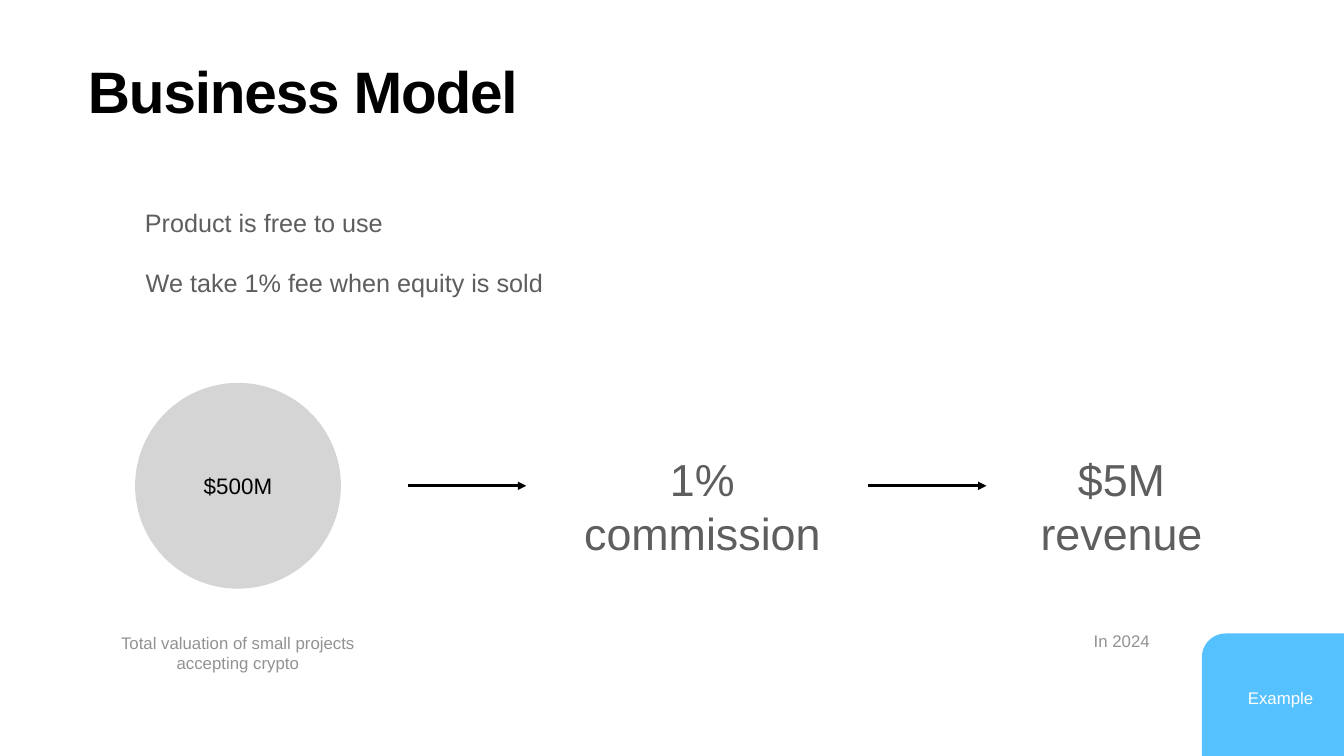
from dataclasses import dataclass

from pptx import Presentation
from pptx import util as u
from pptx.dml.color import RGBColor
from pptx.enum import shapes, text
from pptx.oxml import parse_xml
from pptx.oxml.ns import nsdecls, qn


@dataclass(frozen=True)
class Theme:
    font: str = "Arial"
    black: str = "000000"
    white: str = "FFFFFF"
    body: str = "5E5E5E"
    muted: str = "929292"
    circle: str = "D5D5D5"
    accent: str = "56C1FF"
    title_size: float = 83.5
    figure_size: float = 64
    body_size: float = 36
    value_size: float = 32
    caption_size: float = 24
    inset: float = 4
    arrow_width: float = 4


THEME = Theme()


@dataclass(frozen=True)
class Label:
    words: str
    left: float
    top: float
    width: float
    height: float
    size: float
    color: str
    wrap: bool = True


@dataclass(frozen=True)
class Arrow:
    left: float
    top: float
    length: float = 169.2


STATEMENTS = [
    Label("Product is free to use", 201, 293, 352, 50,
          THEME.body_size, THEME.body, wrap=False),
    Label("We take 1% fee when equity is sold", 201, 378, 582, 50,
          THEME.body_size, THEME.body, wrap=False),
]
FIGURES = [
    Label("1% commission", 813.6, 642, 379.4, 161, THEME.figure_size, THEME.body),
    Label("$5M revenue", 1467.4, 642, 269.3, 161, THEME.figure_size, THEME.body),
]
CAPTIONS = [
    Label("Total valuation of small projects accepting crypto", 165.6, 886, 348, 94,
          THEME.caption_size, THEME.muted),
    Label("In 2024", 1428.5, 882, 348, 66, THEME.caption_size, THEME.muted),
]
ARROWS = [Arrow(582.5, 694), Arrow(1240, 694)]
TITLE = Label("Business Model", 121.7, 75.6, 1038, 107, THEME.title_size, THEME.black)
VALUE = Label("$500M", 193, 547, 294, 294, THEME.value_size, THEME.black)
TAG = Label("Example", 1778.4, 979.2, 102, 36,
            THEME.caption_size, THEME.white, wrap=False)


def write(shape, label: Label):
    """Put centred text in a shape and return its paragraph."""
    frame = shape.text_frame
    frame.word_wrap = label.wrap
    frame.vertical_anchor = text.MSO_ANCHOR.MIDDLE
    frame.margin_left = frame.margin_right = u.Pt(THEME.inset)
    frame.margin_top = frame.margin_bottom = u.Pt(THEME.inset)
    para = frame.paragraphs[0]
    para.text = label.words
    para.alignment = text.PP_ALIGN.CENTER
    para.font.name = THEME.font
    para.font.size = u.Pt(label.size)
    para.font.color.rgb = RGBColor.from_string(label.color)
    return para


def add_label(page, label: Label):
    box = page.shapes.add_textbox(u.Pt(label.left), u.Pt(label.top),
                                  u.Pt(label.width), u.Pt(label.height))
    return box, write(box, label)


def add_title(page, label: Label) -> None:
    box, para = add_label(page, label)
    box.text_frame.vertical_anchor = text.MSO_ANCHOR.BOTTOM
    para.alignment = text.PP_ALIGN.LEFT
    para.line_spacing = 0.8
    para.font.bold = True
    para.runs[0].font._element.set("spc", "-170")


def add_solid(page, kind, left: float, top: float,
              width: float, height: float, color: str):
    shape = page.shapes.add_shape(kind, u.Pt(left), u.Pt(top),
                                  u.Pt(width), u.Pt(height))
    shape.shadow.inherit = False
    shape.fill.solid()
    shape.fill.fore_color.rgb = RGBColor.from_string(color)
    shape.line.fill.background()
    return shape


def add_arrow(page, arrow: Arrow) -> None:
    line = page.shapes.add_connector(
        shapes.MSO_CONNECTOR.STRAIGHT, u.Pt(arrow.left), u.Pt(arrow.top),
        u.Pt(arrow.left + arrow.length), u.Pt(arrow.top))
    line.line.width = u.Pt(THEME.arrow_width)
    line.line.color.rgb = RGBColor.from_string(THEME.black)
    properties = line._element.spPr
    properties.find(qn("a:ln")).append(
        parse_xml(f'<a:tailEnd {nsdecls("a")} type="triangle"/>'))
    properties.append(parse_xml(f'<a:effectLst {nsdecls("a")}/>'))


def main() -> None:
    deck = Presentation()
    deck.slide_width, deck.slide_height = u.Pt(1920), u.Pt(1080)
    page = deck.slides.add_slide(deck.slide_layouts[6])

    # Title and statements
    add_title(page, TITLE)
    for label in STATEMENTS:
        add_label(page, label)

    # Flow from valuation to revenue
    circle = add_solid(page, shapes.MSO_SHAPE.OVAL, VALUE.left, VALUE.top,
                       VALUE.width, VALUE.height, THEME.circle)
    write(circle, VALUE)
    for arrow in ARROWS:
        add_arrow(page, arrow)
    for label in FIGURES + CAPTIONS:
        add_label(page, label)

    # Corner tag, bleeding off the page
    tab = add_solid(page, shapes.MSO_SHAPE.ROUNDED_RECTANGLE,
                    1717, 905, 359, 226, THEME.accent)
    tab.adjustments[0] = 0.15
    add_label(page, TAG)

    deck.save("out.pptx")


if __name__ == "__main__":
    main()
